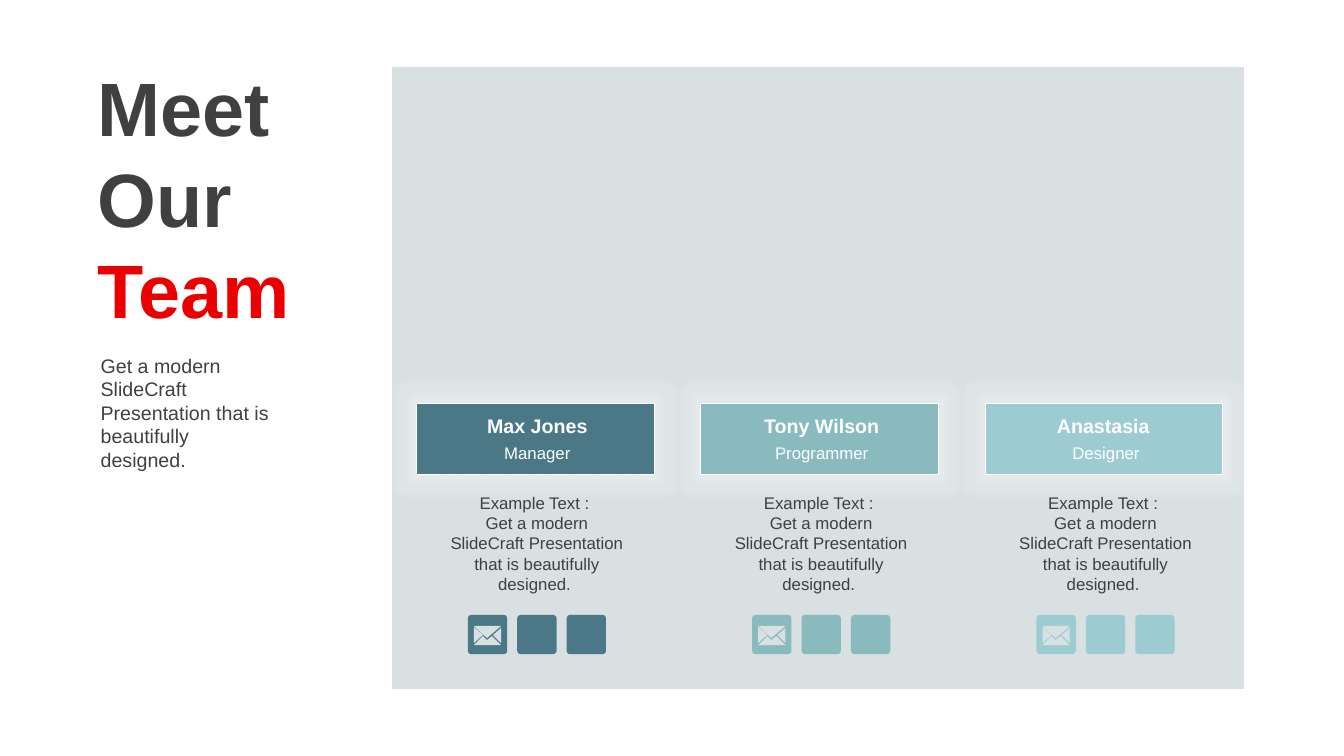
"""Builds the "Meet Our Team" slide with three team member columns."""
from lxml.etree import SubElement
from pptx import Presentation
from pptx.dml.color import RGBColor
from pptx.enum.shapes import MSO_SHAPE
from pptx.enum.text import MSO_ANCHOR, PP_ALIGN
from pptx.oxml.ns import qn
from pptx.util import Inches, Pt

WHITE = RGBColor(0xFF, 0xFF, 0xFF)
PANEL = RGBColor(0xD8, 0xE0, 0xE2)
DARK = RGBColor(0x40, 0x40, 0x40)
RED = RGBColor(0xEA, 0x00, 0x00)
DEEP_TEAL = RGBColor(0x4A, 0x78, 0x86)
SOFT_TEAL = RGBColor(0x88, 0xBA, 0xBE)
PALE_TEAL = RGBColor(0x9C, 0xCC, 0xD2)

MEMBERS = [
    ("Max Jones", "Manager", DEEP_TEAL),
    ("Tony Wilson", "Programmer", SOFT_TEAL),
    ("Anastasia ", "Designer", PALE_TEAL),
]
COLUMN_PITCH = 2.82
ICON_PITCH = 0.49
ICON_SIZE = 0.39
ICON_TOP = 6.1
ENVELOPE = [
    [(24, 21), (19, 25), (15, 21), (6, 30), (33, 30)],
    [(33, 13), (25, 20), (33, 28)],
    [(6, 12), (6, 28), (15, 20)],
    [(6, 11), (19, 23), (33, 11)],
]

presentation = Presentation()
presentation.slide_width = Inches(13.33)
presentation.slide_height = Inches(7.5)
slide = presentation.slides.add_slide(presentation.slide_layouts[6])


def add_block(kind, left, top, width, height, color, outlined=False):
    shape = slide.shapes.add_shape(
        kind, Inches(left), Inches(top), Inches(width), Inches(height))
    shape.shadow.inherit = False
    shape.fill.solid()
    shape.fill.fore_color.rgb = color
    if outlined:
        shape.line.color.rgb = WHITE
        shape.line.width = Pt(0.75)
    else:
        shape.line.fill.background()
    return shape


def add_text(left, top, width, height, lines, size, color,
             bold=False, align=PP_ALIGN.CENTER, label=False):
    box = slide.shapes.add_textbox(
        Inches(left), Inches(top), Inches(width), Inches(height))
    frame = box.text_frame
    frame.word_wrap = True
    if label:
        frame.vertical_anchor = MSO_ANCHOR.MIDDLE
        frame.margin_left = frame.margin_right = 0
        frame.margin_top = frame.margin_bottom = 0
    frame.text = "\n".join(lines)
    for paragraph in frame.paragraphs:
        paragraph.alignment = align
        paragraph.line_spacing = Pt(size * 1.2)
        paragraph.font.name = "Arial"
        paragraph.font.size = Pt(size)
        paragraph.font.bold = bold
        paragraph.font.color.rgb = color
    return frame


add_block(MSO_SHAPE.RECTANGLE, 3.88, 0.66, 8.46, 6.18, PANEL, outlined=True)

for column, (name, role, color) in enumerate(MEMBERS):
    left = 4.13 + column * COLUMN_PITCH
    banner = add_block(MSO_SHAPE.RECTANGLE, left, 4, 2.36, 0.71, color, outlined=True)
    effects = banner._element.spPr.find(qn("a:effectLst"))
    glow = SubElement(effects, qn("a:glow"), rad=str(Inches(0.14)))
    glow_color = SubElement(glow, qn("a:srgbClr"), val=str(WHITE))
    SubElement(glow_color, qn("a:alpha"), val="20000")

    add_text(left + 0.4, 4.1, 1.6, 0.25, [name], 14, WHITE, bold=True, label=True)
    add_text(left + 0.4, 4.37, 1.6, 0.25, [role], 12, WHITE, label=True)
    add_text(left + 0.21, 4.84, 1.97, 1.11,
             ["Example Text : ",
              "Get a modern SlideCraft Presentation that is beautifully designed. "],
             12, DARK)

    icon_left = left + 0.51
    for position in range(3):
        icon = add_block(MSO_SHAPE.ROUNDED_RECTANGLE, icon_left + position * ICON_PITCH,
                         ICON_TOP, ICON_SIZE, ICON_SIZE, color)
        icon.adjustments[0] = 0.09

    first, *others = ENVELOPE
    builder = slide.shapes.build_freeform(*first[0], scale=Inches(0.01))
    builder.add_line_segments(first[1:], close=True)
    for contour in others:
        builder.move_to(*contour[0])
        builder.add_line_segments(contour[1:], close=True)
    envelope = builder.convert_to_shape(Inches(icon_left), Inches(ICON_TOP))
    envelope.shadow.inherit = False
    envelope.fill.solid()
    envelope.fill.fore_color.rgb = PANEL
    envelope.line.fill.background()

title = add_text(0.87, 0.56, 2.26, 2.83, ["Meet Our "], 54, DARK,
                 bold=True, align=PP_ALIGN.LEFT)
team = title.paragraphs[0].add_run()
team.text = "Team"
team.font.color.rgb = RED
add_text(0.9, 3.46, 1.97, 1.04,
         ["Get a modern SlideCraft Presentation that is beautifully designed."],
         14, DARK, align=PP_ALIGN.LEFT)

presentation.save("out.pptx")
